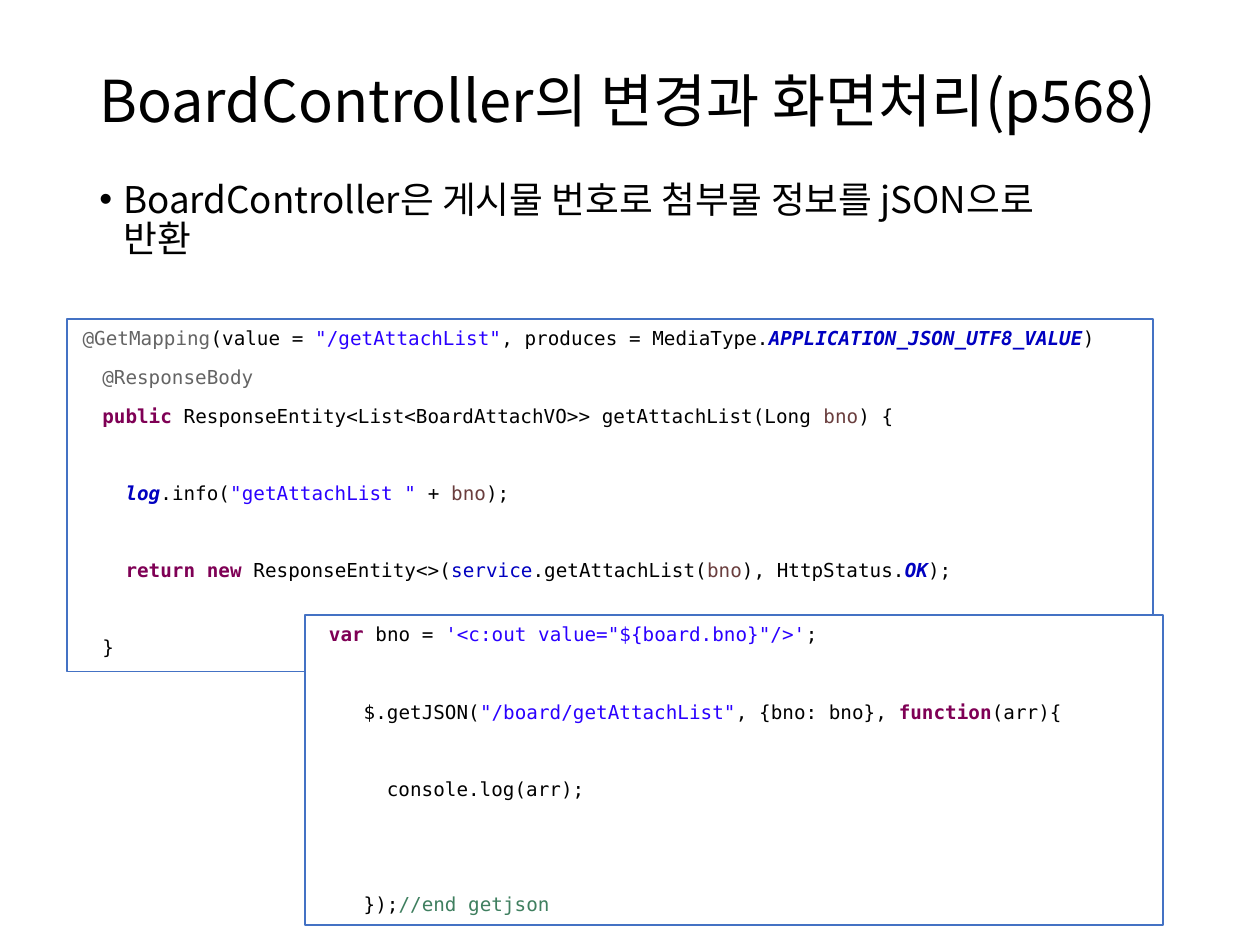
from pptx import Presentation
from pptx.dml.color import RGBColor
from pptx.enum import shapes, text
from pptx.oxml import parse_xml
from pptx.oxml.ns import nsdecls
from pptx.util import Inches, Pt

SANS = "Noto Sans CJK KR"
MONO = "DejaVu Sans Mono"
COLORS = {
    "plain": "000000", "paper": "FFFFFF", "border": "4472C4",
    "annotation": "646464", "string": "2A00FF", "constant": "0000C0",
    "field": "0000C0", "keyword": "7F0055", "variable": "6A3E3E",
    "comment": "3F7F5F",
}
CHAR_WIDTH = 0.092
LINE_PITCH = 22

CONTROLLER_CODE = [
    (0.3, 0, [("@GetMapping", "annotation"), ("(value = ", "plain"),
              ('"/getAttachList"', "string"), (", produces = MediaType.", "plain"),
              ("APPLICATION_JSON_UTF8_VALUE", "constant"), (")", "plain")]),
    (2, 0, [("@ResponseBody", "annotation")]),
    (2, 0, [("public ", "keyword"),
            ("ResponseEntity<List<BoardAttachVO>> getAttachList(Long ", "plain"),
            ("bno", "variable"), (") {", "plain")]),
    (4, 1, [("log", "constant"), (".info(", "plain"), ('"getAttachList "', "string"),
            (" + ", "plain"), ("bno", "variable"), (");", "plain")]),
    (4, 1, [("return new ", "keyword"), ("ResponseEntity<>(", "plain"),
            ("service", "field"), (".getAttachList(", "plain"), ("bno", "variable"),
            ("), HttpStatus.", "plain"), ("OK", "constant"), (");", "plain")]),
    (2, 1, [("}", "plain")]),
]
SCRIPT_CODE = [
    (1, 0, [("var ", "keyword"), ("bno = ", "plain"),
            ("'<c:out value=\"${board.bno}\"/>'", "string"), (";", "plain")]),
    (4, 1, [("$.getJSON(", "plain"), ('"/board/getAttachList"', "string"),
            (", {bno: bno}, ", "plain"), ("function", "keyword"), ("(arr){", "plain")]),
    (6, 1, [("console.log(arr);", "plain")]),
    (4, 2, [("});", "plain"), ("//end getjson", "comment")]),
]


def add_run(p, content, font, size, kind="plain"):
    """Append one run styled by its syntax kind."""
    r = p.add_run()
    r.text = content
    r.font.name = font
    r.font.size = Pt(size)
    r.font.color.rgb = RGBColor.from_string(COLORS[kind])
    r.font.bold = kind in ("keyword", "constant")
    r.font.italic = kind == "constant"
    if font == SANS:
        r.font._element.append(parse_xml(f'<a:ea {nsdecls("a")} typeface="{font}"/>'))


def add_text_frame(s, box, anchor):
    """Add a wrapping text box and return its text frame."""
    tf = s.shapes.add_textbox(*map(Inches, box)).text_frame
    tf.word_wrap = True
    tf.vertical_anchor = anchor
    return tf


def add_title(s, box):
    """Place the slide title."""
    p = add_text_frame(s, box, text.MSO_ANCHOR.MIDDLE).paragraphs[0]
    p.line_spacing = 0.9
    add_run(p, "BoardController의 변경과 화면처리(p568)", SANS, 33)


def add_body(s, box):
    """Place the bulleted summary."""
    p = add_text_frame(s, box, text.MSO_ANCHOR.TOP).paragraphs[0]
    p.line_spacing = 0.9
    p.space_before = Pt(7.5)
    pPr = p._p.get_or_add_pPr()
    pPr.set("marL", str(Inches(0.19)))
    pPr.set("indent", str(-Inches(0.19)))
    pPr.append(parse_xml(f'<a:buFont {nsdecls("a")} typeface="Arial"/>'))
    pPr.append(parse_xml(f'<a:buChar {nsdecls("a")} char="•"/>'))
    add_run(p, "BoardController은 게시물 번호로 첨부물 정보를 jSON으로", SANS, 21)
    p.add_line_break()
    add_run(p, "반환", SANS, 21)


def add_code_box(s, box, lines):
    """Place a bordered listing of (indent, skipped lines, runs)."""
    sp = s.shapes.add_shape(shapes.MSO_SHAPE.RECTANGLE, *map(Inches, box))
    sp.shadow.inherit = False
    sp.fill.solid()
    sp.fill.fore_color.rgb = RGBColor.from_string(COLORS["paper"])
    sp.line.color.rgb = RGBColor.from_string(COLORS["border"])
    sp.line.width = Pt(1)
    tf = sp.text_frame
    tf.word_wrap = True
    tf.vertical_anchor = text.MSO_ANCHOR.TOP
    for i, (indent, skipped, runs) in enumerate(lines):
        p = tf.add_paragraph() if i else tf.paragraphs[0]
        p.alignment = text.PP_ALIGN.LEFT
        p.line_spacing = 1.07
        p.space_before = Pt(skipped * LINE_PITCH)
        p.space_after = Pt(8)
        p._p.get_or_add_pPr().set("marL", str(Inches(indent * CHAR_WIDTH)))
        for content, kind in runs:
            add_run(p, content, MONO, 11, kind)


def main():
    """Build the slide and save it."""
    prs = Presentation()
    prs.slide_width, prs.slide_height = Inches(10), Inches(7.5)
    s = prs.slides.add_slide(prs.slide_layouts[6])
    add_title(s, (0.69, 0.4, 8.62, 0.85))
    add_body(s, (0.69, 1.39, 8.62, 5.37))
    add_code_box(s, (0.53, 2.53, 8.62, 2.8), CONTROLLER_CODE)
    add_code_box(s, (2.42, 4.88, 6.81, 2.46), SCRIPT_CODE)
    prs.save("out.pptx")


if __name__ == "__main__":
    main()
